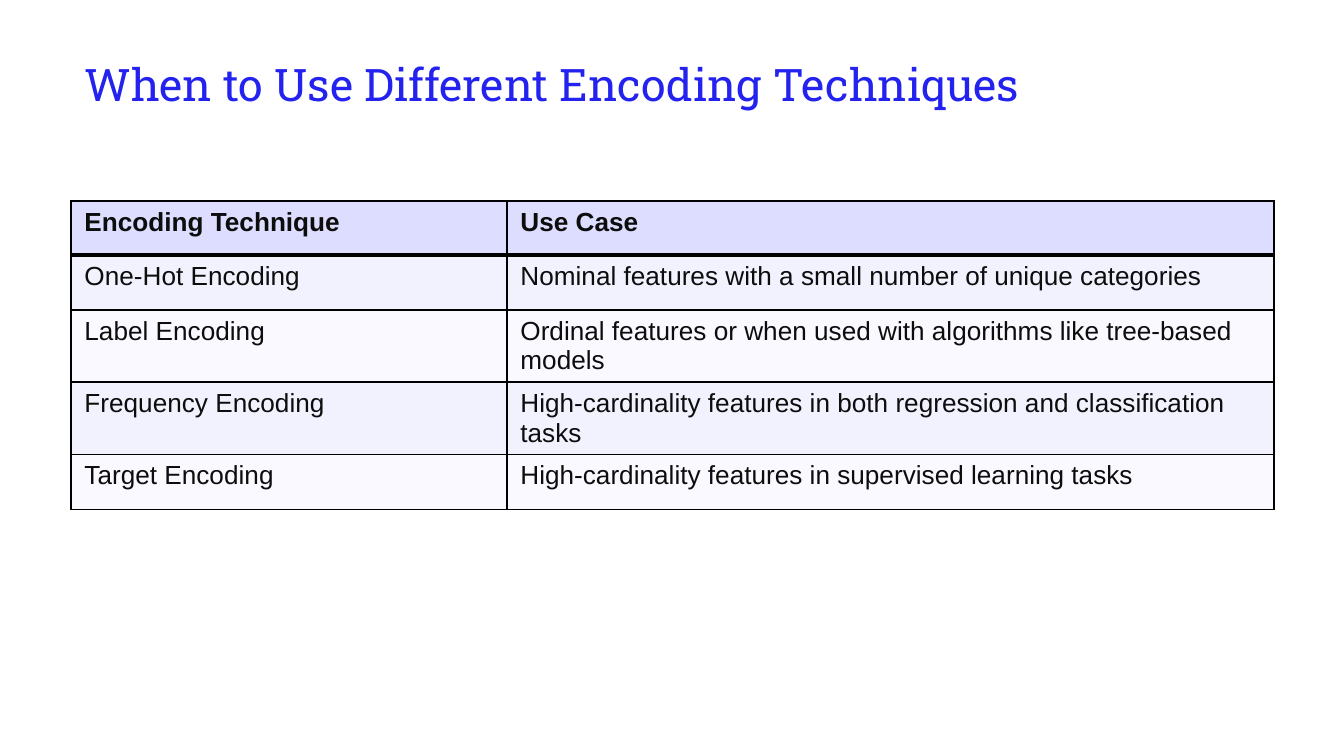
from lxml.etree import SubElement
from pptx import Presentation
from pptx.dml.color import RGBColor
from pptx.enum.text import MSO_ANCHOR, PP_ALIGN
from pptx.oxml.ns import qn
from pptx.util import Pt

PX = 914400 / 134.4
COLORS = {
    "title": "2322EF",
    "text": "0D0D0D",
    "border": "000000",
    "header": "DDDDFF",
    "odd": "F2F2FF",
    "even": "F9F9FF",
}
ROWS = [
    ("Encoding Technique", "Use Case"),
    ("One-Hot Encoding", "Nominal features with a small number of unique categories"),
    ("Label Encoding", "Ordinal features or when used with algorithms like tree-based models"),
    ("Frequency Encoding", "High-cardinality features in both regression and classification tasks"),
    ("Target Encoding", "High-cardinality features in supervised learning tasks"),
]


def px(n):
    return round(n * PX)


class SlideBuilder:
    """Draws styled elements on the current slide."""

    def __init__(self, slide):
        self.s = slide

    def style(self, p, font, size, color, bold=False):
        p.font.name = font
        p.font.size = Pt(size)
        p.font.bold = bold
        p.font.color.rgb = RGBColor.from_string(COLORS[color])

    def title(self, text, left, top, width, height):
        sp = self.s.shapes.title
        sp.left, sp.top, sp.width, sp.height = map(px, (left, top, width, height))
        tf = sp.text_frame
        tf.text = text
        tf.word_wrap = True
        tf.vertical_anchor = MSO_ANCHOR.TOP
        tf.margin_left = tf.margin_right = tf.margin_top = tf.margin_bottom = Pt(7.2)
        p = tf.paragraphs[0]
        p.alignment = PP_ALIGN.LEFT
        self.style(p, "Roboto Slab", 24, "title")

    def border(self, cell, side, width):
        ln = SubElement(cell._tc.get_or_add_tcPr(), qn(f"a:ln{side}"), w=str(Pt(width)))
        fill = SubElement(ln, qn("a:solidFill"))
        SubElement(fill, qn("a:srgbClr"), val=COLORS["border"])

    def cell(self, cell, text, row):
        for side in "LRTB":
            thick = (row, side) in ((0, "B"), (1, "T"))
            self.border(cell, side, 3 if thick else 1)
        fill = "header" if row == 0 else "odd" if row % 2 else "even"
        cell.fill.solid()
        cell.fill.fore_color.rgb = RGBColor.from_string(COLORS[fill])
        cell.text = text
        self.style(cell.text_frame.paragraphs[0], "Arial", 14, "text", row == 0)

    def table(self, rows, left, top, col_widths, row_heights):
        frame = self.s.shapes.add_table(
            len(rows), len(col_widths), px(left), px(top),
            px(sum(col_widths)), px(sum(row_heights)))
        table = frame.table
        for col, width in zip(table.columns, col_widths):
            col.width = px(width)
        for i, (texts, height) in enumerate(zip(rows, row_heights)):
            table.rows[i].height = px(height)
            for j, text in enumerate(texts):
                self.cell(table.cell(i, j), text, i)


def main():
    prs = Presentation()
    prs.slide_width, prs.slide_height = px(1344), px(756)
    s = prs.slides.add_slide(prs.slide_layouts[5])
    builder = SlideBuilder(s)
    builder.title("When to Use Different Encoding Techniques", 71, 43, 1132, 79)
    builder.table(ROWS, 71, 201, [436, 767], [54, 55, 72, 72, 55])
    prs.save("out.pptx")


if __name__ == "__main__":
    main()
